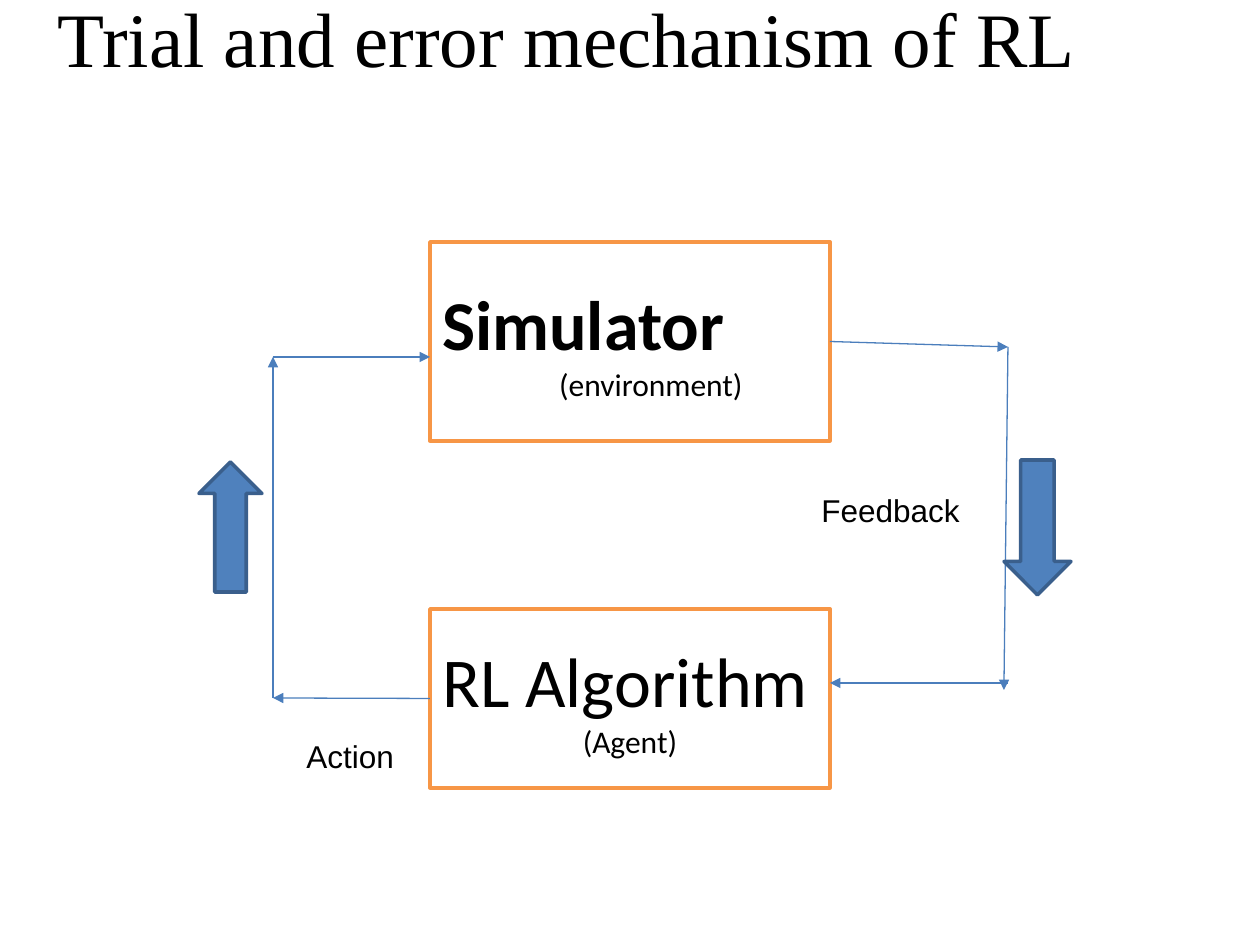
from lxml.etree import SubElement
from pptx import Presentation
from pptx.dml.color import RGBColor
from pptx.enum.shapes import MSO_CONNECTOR as Connector, MSO_SHAPE as Shape
from pptx.enum.text import MSO_ANCHOR as Anchor, MSO_AUTO_SIZE as AutoSize, PP_ALIGN as Align
from pptx.oxml.ns import qn
from pptx.util import Pt

PX = 914400 // 126
BLACK = RGBColor(0x00, 0x00, 0x00)
WHITE = RGBColor(0xFF, 0xFF, 0xFF)
ORANGE = RGBColor(0xF7, 0x96, 0x46)
BLUE = RGBColor(0x4F, 0x81, 0xBD)
DARK_BLUE = RGBColor(0x3A, 0x5F, 0x8C)
LINE_BLUE = RGBColor(0x4B, 0x7E, 0xBC)

TITLE = "Trial and error mechanism of RL"
TITLE_AREA = (0, -42, 1134, 158)
BOXES = {
    "simulator": ((430, 242, 400, 199), "Simulator", True, "(environment)", 42),
    "agent": ((430, 609, 400, 179), "RL Algorithm", False, "(Agent)", 0),
}
LINKS = [
    ((830, 341), (1008, 347), ("simulator", 3)),
    ((1008, 347), (1004, 690), None),
    ((1008, 683), (830, 683), None),
    ((430, 698), (273, 698), ("agent", 1)),
    ((273, 698), (273, 357), None),
    ((273, 357), (430, 357), None),
]
LABELS = [("Feedback", (809, 485, 165, 50)), ("Action", (294, 731, 113, 50))]
BLOCK_ARROWS = [((1004, 460, 67, 135), 0), ((199, 462, 63, 130), 180)]


def scaled(lengths):
    return [length * PX for length in lengths]


def write(para, text, font="Arial", size=18, bold=False, align=Align.LEFT, indent=0):
    if indent:
        para._p.get_or_add_pPr().set("marL", str(indent * PX))
    para.alignment = align
    span = para.add_run()
    span.text = text
    span.font.name, span.font.size, span.font.bold = font, Pt(size), bold
    span.font.color.rgb = BLACK


def add_block(page, kind, area, fill, line):
    block = page.shapes.add_shape(kind, *scaled(area))
    block.shadow.inherit = False
    block.fill.solid()
    block.fill.fore_color.rgb = fill
    block.line.color.rgb = line
    block.line.width = Pt(2)
    return block


def add_link(page, start, end, joint, boxes):
    link = page.shapes.add_connector(Connector.STRAIGHT, *scaled(start + end))
    if joint:
        name, side = joint
        link.begin_connect(boxes[name], side)
    link.line.color.rgb = LINE_BLUE
    link.line.width = Pt(0.75)
    SubElement(link.line._get_or_add_ln(), qn("a:tailEnd"), type="triangle")
    SubElement(link._element.spPr, qn("a:effectLst"))


def main():
    deck = Presentation()
    deck.slide_width, deck.slide_height = scaled((1260, 945))
    page = deck.slides.add_slide(deck.slide_layouts[5])

    title = page.shapes.title
    title.left, title.top, title.width, title.height = scaled(TITLE_AREA)
    title.text_frame.vertical_anchor = Anchor.MIDDLE
    write(title.text_frame.paragraphs[0], TITLE, font="Times New Roman", size=44, align=Align.CENTER)

    boxes = {}
    for name, (area, heading, bold, role, indent) in BOXES.items():
        box = boxes[name] = add_block(page, Shape.RECTANGLE, area, WHITE, ORANGE)
        frame = box.text_frame
        frame.word_wrap = True
        frame.vertical_anchor = Anchor.MIDDLE
        write(frame.paragraphs[0], heading, font="Calibri", size=40, bold=bold)
        write(frame.add_paragraph(), role, font="Calibri", align=Align.CENTER, indent=indent)

    for start, end, joint in LINKS:
        add_link(page, start, end, joint, boxes)

    for text, area in LABELS:
        label = page.shapes.add_textbox(*scaled(area))
        label.text_frame.word_wrap = False
        label.text_frame.auto_size = AutoSize.SHAPE_TO_FIT_TEXT
        write(label.text_frame.paragraphs[0], text)

    for area, turn in BLOCK_ARROWS:
        add_block(page, Shape.DOWN_ARROW, area, BLUE, DARK_BLUE).rotation = turn

    deck.save("out.pptx")


if __name__ == "__main__":
    main()
